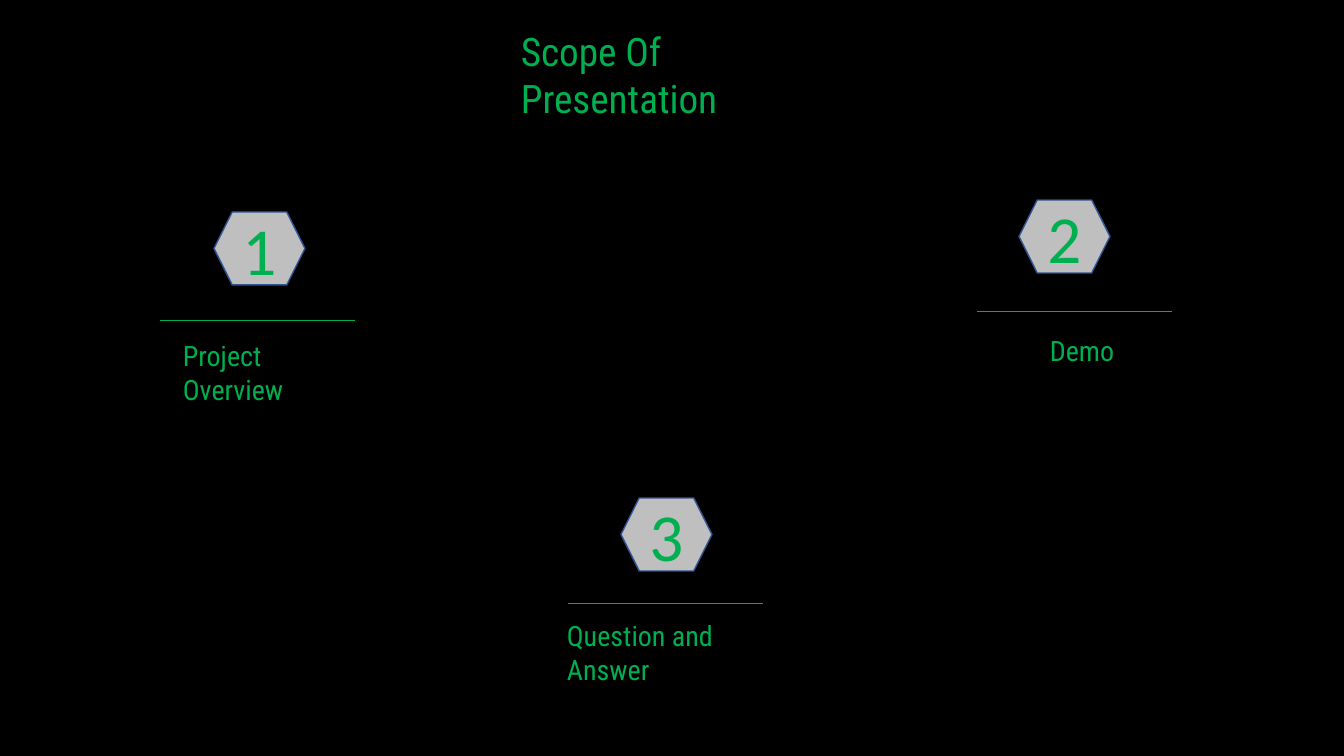
from lxml import etree
from pptx import Presentation
from pptx.dml.color import RGBColor
from pptx.enum.shapes import MSO_CONNECTOR, MSO_SHAPE
from pptx.enum.text import MSO_ANCHOR, MSO_AUTO_SIZE, PP_ALIGN
from pptx.oxml.ns import qn
from pptx.util import Pt

HEXAGON = MSO_SHAPE.HEXAGON
STRAIGHT = MSO_CONNECTOR.STRAIGHT
MIDDLE = MSO_ANCHOR.MIDDLE
GROW = MSO_AUTO_SIZE.SHAPE_TO_FIT_TEXT
LEFT, CENTER = PP_ALIGN.LEFT, PP_ALIGN.CENTER

BLACK = RGBColor(0x00, 0x00, 0x00)
GREEN = RGBColor(0x00, 0xB0, 0x50)
GRAY = RGBColor(0xBF, 0xBF, 0xBF)
BLUE = RGBColor(0x32, 0x54, 0x91)

PIXEL = 914400 / 100.8
HEXAGON_SIZE = (91, 73)
RULE_WIDTH = 195


def pixels(*lengths):
    return [round(length * PIXEL) for length in lengths]


def write(shape, text, size, font="Roboto Condensed", align=LEFT):
    frame = shape.text_frame
    frame.word_wrap = True
    paragraph = frame.paragraphs[0]
    paragraph.alignment = align
    run = paragraph.add_run()
    run.text = text
    run.font.size = Pt(size)
    run.font.name = font
    run.font.color.rgb = GREEN


presentation = Presentation()
presentation.slide_width, presentation.slide_height = pixels(1344, 756)
slide = presentation.slides.add_slide(presentation.slide_layouts[6])
slide.background.fill.solid()
slide.background.fill.fore_color.rgb = BLACK

# Topics: hexagon corner, rule start, label box
topics = [
    ("Project Overview", (214, 212), (160, 320), (173, 334, 195, 44)),
    ("Demo", (1019, 200), (977, 311), (1040, 329, 195, 44)),
    ("Question and Answer", (621, 498), (568, 603), (557, 614, 217, 44)),
]
labels = [("Scope Of Presentation", (511, 22, 310, 57), 28)]

for number, (topic, corner, (rule_left, rule_top), label_box) in enumerate(topics, 1):
    # Numbered hexagon
    hexagon = slide.shapes.add_shape(HEXAGON, *pixels(*corner, *HEXAGON_SIZE))
    hexagon.shadow.inherit = False
    hexagon.fill.solid()
    hexagon.fill.fore_color.rgb = GRAY
    hexagon.line.color.rgb = BLUE
    hexagon.line.width = Pt(1)
    hexagon.text_frame.vertical_anchor = MIDDLE
    write(hexagon, str(number), 48, font="Calibri", align=CENTER)

    # Rule under the hexagon
    rule = slide.shapes.add_connector(
        STRAIGHT, *pixels(rule_left, rule_top, rule_left + RULE_WIDTH, rule_top))
    rule.line.color.rgb = GREEN
    rule.line.width = Pt(0.5)
    etree.SubElement(rule._element.spPr, qn("a:effectLst"))

    labels.append((topic, label_box, 20))

# Title and topic labels
for text, box, size in labels:
    label = slide.shapes.add_textbox(*pixels(*box))
    label.text_frame.auto_size = GROW
    write(label, text, size)

presentation.save("out.pptx")
